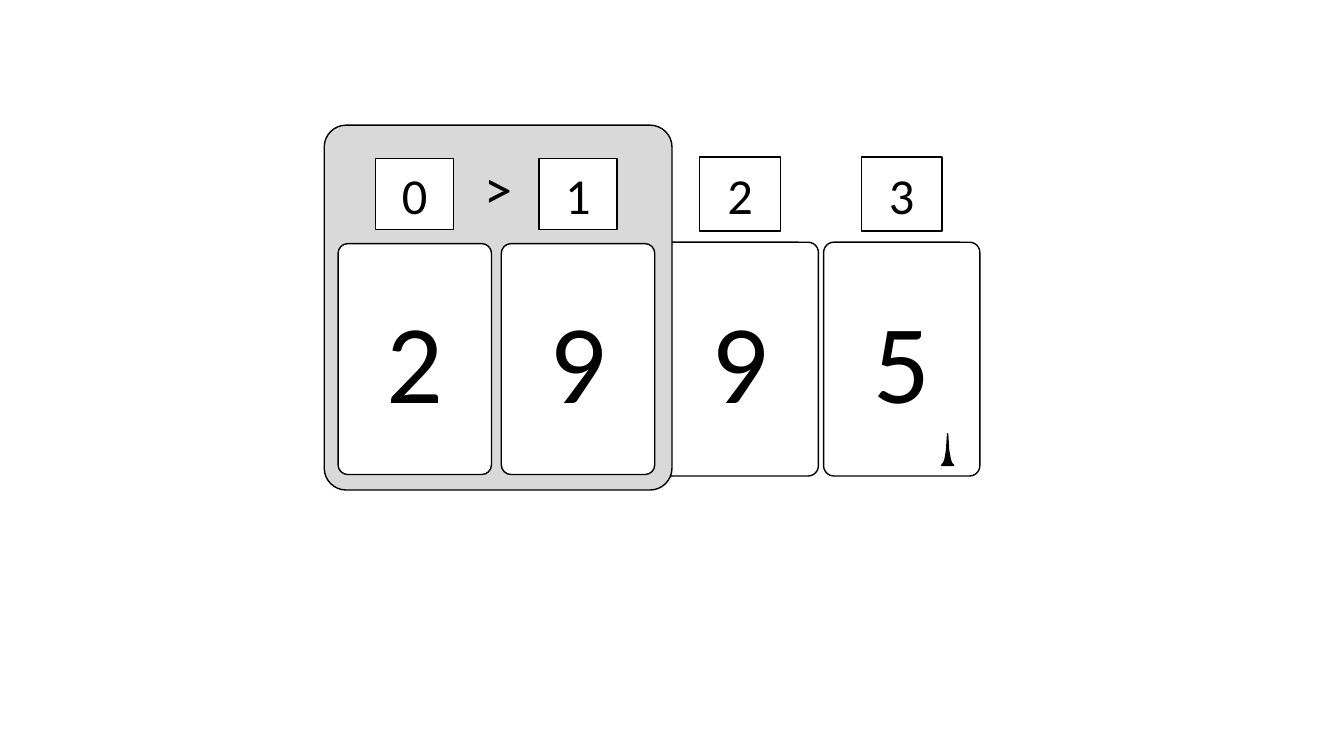
from pptx import Presentation, util as u
from pptx.dml import color
from pptx.enum import shapes, text
from pptx.oxml import ns

BLACK, WHITE, GREY = "000000", "FFFFFF", "D9D9D9"
DIGITS = "2995"
CARD_LEFTS = (240.5, 357.1, 473, 588.3)
CARD_TOP, CARD_WIDTH, CARD_HEIGHT = 173, 111.6, 167
INDEX_OFFSET, INDEX_TOP, INDEX_WIDTH, INDEX_HEIGHT = 26.9, 112.3, 57.6, 52.6
FRAME = (231.6, 89.4, 248.4, 260.6)
SPIRE = [
    [(672.6, 332.4)],
    [(675.4, 330.2), (675.4, 325.4), (676.1, 321.8)],
    [(676.9, 309.8)],
    [(677.6, 321.8)],
    [(678.6, 325.4), (678.4, 331), (681.2, 332.4)],
]


def rgb(hex_color):
    return color.RGBColor.from_string(hex_color)


def paint(shape, fill):
    shape.shadow.inherit = False
    shape.fill.solid()
    shape.fill.fore_color.rgb = rgb(fill)
    shape.line.color.rgb = rgb(BLACK)
    shape.line.width = u.Pt(1)


def write(shape, label, size, anchor=text.MSO_ANCHOR.MIDDLE):
    frame = shape.text_frame
    frame.text = label
    frame.word_wrap = True
    frame.vertical_anchor = anchor
    paragraph = frame.paragraphs[0]
    paragraph.alignment = text.PP_ALIGN.CENTER
    font = paragraph.runs[0].font
    font.name = "Calibri"
    font.size = u.Pt(size)
    font.color.rgb = rgb(BLACK)


def card_box(position):
    return CARD_LEFTS[position], CARD_TOP, CARD_WIDTH, CARD_HEIGHT


def index_box(position):
    return CARD_LEFTS[position] + INDEX_OFFSET, INDEX_TOP, INDEX_WIDTH, INDEX_HEIGHT


def add_box(slide, kind, box, label, size):
    shape = slide.shapes.add_shape(kind, *map(u.Pt, box))
    paint(shape, WHITE)
    write(shape, label, size)
    return shape


def add_card(slide, position, digit):
    kind = shapes.MSO_SHAPE.ROUNDED_RECTANGLE
    card = add_box(slide, kind, card_box(position), digit, 80)
    card.adjustments[0] = 0.066


def bend_curves(shape, contours):
    lines = iter(list(shape.element.iter(ns.qn("a:lnTo"))))
    for contour in contours:
        for segment in contour[1:]:
            line = next(lines)
            if len(segment) == 3:
                line.tag = ns.qn("a:cubicBezTo")
                for _ in range(2):
                    extra = next(lines)
                    line.append(extra[0])
                    extra.getparent().remove(extra)


def add_outline(slide, contours, fill):
    builder = None
    for contour in contours:
        start, *rest = [(u.Pt(x), u.Pt(y)) for segment in contour for x, y in segment]
        if builder is None:
            builder = slide.shapes.build_freeform(*start, scale=1)
        else:
            builder.move_to(*start)
        builder.add_line_segments(rest, close=True)
    shape = builder.convert_to_shape()
    bend_curves(shape, contours)
    paint(shape, fill)
    return shape


def corners(box, gap=0):
    left, top, width, height = box
    right, bottom = left + width - gap, top + height - gap
    left, top = left + gap, top + gap
    return [(left, top), (right, top), (right, bottom), (left, bottom)]


def toward(start, end, distance):
    length = abs(end[0] - start[0]) + abs(end[1] - start[1])
    return tuple(a + (b - a) * distance / length for a, b in zip(start, end))


def rounded(points, radius):
    contour = []
    for order, corner in enumerate(points):
        before, after = points[order - 1], points[(order + 1) % len(points)]
        contour.append([toward(corner, before, radius)])
        contour.append([toward(corner, before, radius * 0.45),
                        toward(corner, after, radius * 0.45),
                        toward(corner, after, radius)])
    return contour


def add_comparison_frame(slide):
    contours = [rounded(corners(FRAME), 15.6)]
    for position in range(2):
        card_window = corners(card_box(position), 1)[::-1]
        index_window = corners(index_box(position), 1)[::-1]
        contours.append(rounded(card_window, 7))
        contours.append([[point] for point in index_window])
    frame = add_outline(slide, contours, GREY)
    write(frame, ">", 40, text.MSO_ANCHOR.TOP)
    frame.text_frame.margin_top = u.Pt(20)


def main():
    deck = Presentation()
    deck.slide_width, deck.slide_height = u.Pt(960), u.Pt(540)
    slide = deck.slides.add_slide(deck.slide_layouts[6])
    for position, digit in enumerate(DIGITS):
        add_card(slide, position, digit)
    add_outline(slide, [SPIRE], BLACK)
    for position in range(len(DIGITS)):
        kind = shapes.MSO_SHAPE.RECTANGLE
        add_box(slide, kind, index_box(position), str(position), 36)
    add_comparison_frame(slide)
    deck.save("out.pptx")


if __name__ == "__main__":
    main()
